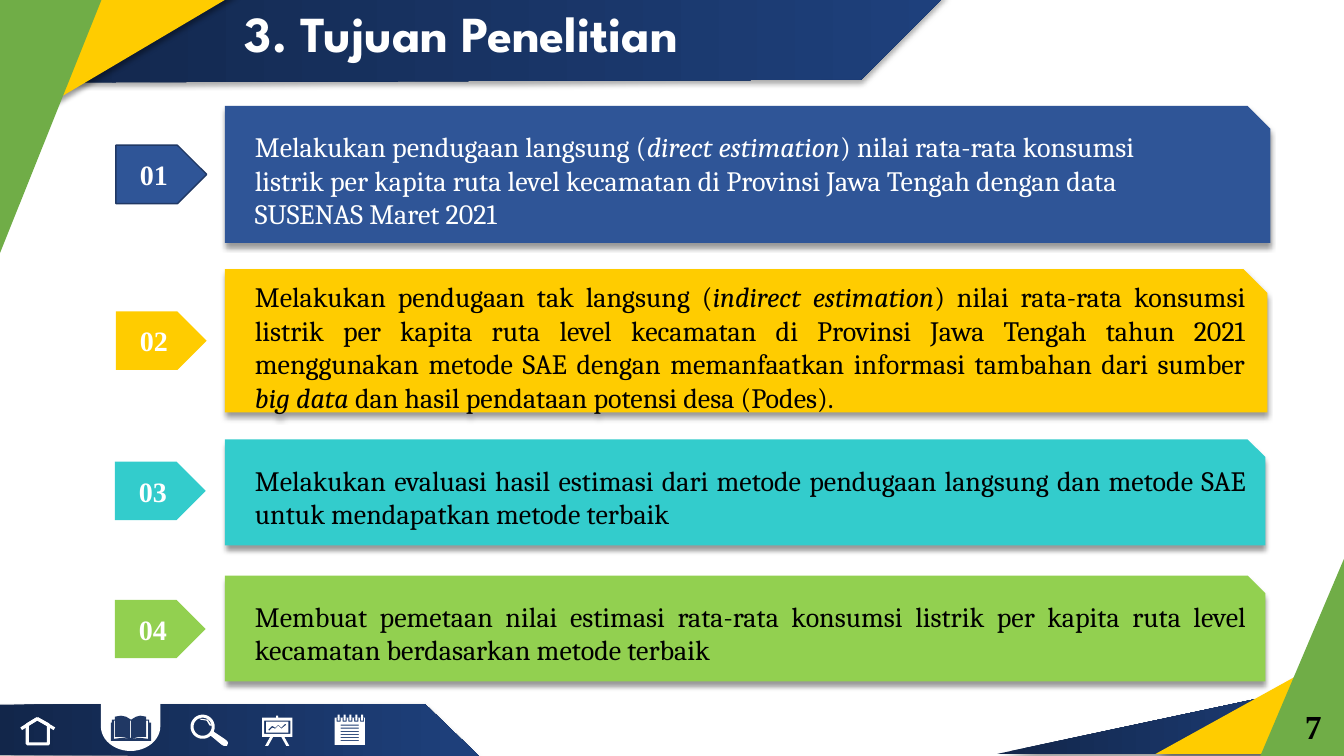
from math import cos, radians, sin

from lxml import etree
from pptx import Presentation
from pptx.dml.color import RGBColor
from pptx.enum.shapes import MSO_CONNECTOR, MSO_SHAPE
from pptx.enum.text import MSO_ANCHOR, MSO_AUTO_SIZE, PP_ALIGN
from pptx.oxml import parse_xml
from pptx.oxml.ns import nsdecls, qn
from pptx.util import Inches, Pt

COLORS = {
    "white": "FFFFFF", "black": "000000", "navy_dark": "12264A", "navy_light": "1E407C",
    "navy": "203864", "blue": "2F5597", "yellow": "FFCC00", "teal": "33CCCC",
    "lime": "92D050", "green": "70AD47",
}
BODY_FONT, NUMBER_FONT, TITLE_FONT = "Cambria", "Times New Roman", "League Spartan"
TITLE = "3. Tujuan Penelitian"
PAGE_NUMBER = "7"

# Each goal: box (top, width, height), tag (left, top), colours, paragraphs of (text, italic).
GOALS = [
    ((1.05, 10.37, 1.36), (1.15, 1.44), "blue", "white", [
        [("Melakukan pendugaan langsung (", False), ("direct estimation", True),
         (") nilai rata-rata konsumsi ", False)],
        [("listrik per kapita ruta level kecamatan di Provinsi Jawa Tengah dengan data ", False)],
        [("SUSENAS Maret 2021", False)]]),
    ((2.67, 10.34, 1.42), (1.15, 3.09), "yellow", "black", [
        [("Melakukan pendugaan tak langsung (", False), ("indirect estimation", True),
         (") nilai rata-rata konsumsi listrik per kapita ruta level kecamatan di Provinsi Jawa "
          "Tengah tahun 2021 menggunakan metode SAE dengan memanfaatkan informasi tambahan dari "
          "sumber ", False),
         ("big data", True), (" dan hasil pendataan potensi desa (Podes).", False)]]),
    ((4.36, 10.32, 1.05), (1.14, 4.58), "teal", "black", [
        [("Melakukan evaluasi hasil estimasi dari metode pendugaan langsung dan metode SAE "
          "untuk mendapatkan metode terbaik", False)]]),
    ((5.71, 10.32, 1.05), (1.14, 5.95), "lime", "black", [
        [("Membuat pemetaan nilai estimasi rata-rata konsumsi listrik per kapita ruta level "
          "kecamatan berdasarkan metode terbaik", False)]]),
]

CORNER_SHADOW = (40, 4, 3, 45)
BAR_SHADOW = (32, 3.5, 2.2, 90)
BOX_SHADOW = (40, 4, 3, 90)

RIGHT_CORNER = [
    ([(13.33, 7.48), (13.33, 6.75), (9.89, 7.48)], "navy", CORNER_SHADOW),
    ([(13.34, 7.48), (13.34, 6.44), (11.46, 7.48)], "yellow", CORNER_SHADOW),
    ([(13.34, 7.5), (13.34, 5.52), (12.5, 7.5)], "green", None),
]
BANNER = [(8.54, 0.79), (-0.01, 0.82), (-0.02, -0.07), (9.39, -0.06)]
LEFT_CORNER = [
    ([(-0.02, -0.06), (-0.02, 1.33), (2.33, -0.06)], "yellow", CORNER_SHADOW),
    ([(-0.02, -0.06), (-0.02, 2.56), (1.03, -0.06)], "green", None),
]
FOOTER = [(4.21, 6.98), (-0.05, 6.99), (-0.04, 7.49), (4.75, 7.5)]


def rectangle(left, top, right, bottom):
    return [(left, top), (right, top), (right, bottom), (left, bottom)]


def arc(x, y, radius, start, end):
    return [(x + radius * cos(radians(a)), y + radius * sin(radians(a)))
            for a in range(start, end + 1, 12)]


BOOK = [
    [(1.1, 7.17), (1.11, 7.17), (1.11, 7.14), (1.14, 7.14), (1.14, 7.11), (1.2, 7.1),
     (1.25, 7.11), (1.3, 7.14), (1.35, 7.11), (1.39, 7.1), (1.45, 7.11), (1.45, 7.14),
     (1.48, 7.14), (1.48, 7.17), (1.5, 7.17), (1.5, 7.35), (1.1, 7.35)],
    [(1.13, 7.15), (1.14, 7.15), (1.14, 7.31), (1.21, 7.31), (1.29, 7.33), (1.21, 7.32),
     (1.13, 7.33)],
    [(1.45, 7.15), (1.47, 7.15), (1.47, 7.33), (1.39, 7.32), (1.3, 7.33), (1.38, 7.31),
     (1.45, 7.31)],
    rectangle(1.29, 7.15, 1.3, 7.32),
]
MAGNIFIER = [
    arc(2.01, 7.21, 0.12, 48, 384)
    + [(2.24, 7.34), (2.26, 7.36), (2.26, 7.38), (2.25, 7.4), (2.22, 7.4), (2.2, 7.39)],
    arc(2.01, 7.21, 0.09, 0, 348),
    [(1.98, 7.13), (2.06, 7.14), (2.1, 7.2), (2.08, 7.2), (2.05, 7.15), (1.99, 7.14)],
]
EASEL = [
    [(2.6, 7.12), (2.74, 7.12), (2.74, 7.1), (2.76, 7.1), (2.76, 7.12), (2.9, 7.12),
     (2.9, 7.31), (2.82, 7.31), (2.87, 7.4), (2.84, 7.4), (2.79, 7.31), (2.71, 7.31),
     (2.66, 7.4), (2.63, 7.4), (2.68, 7.31), (2.6, 7.31)],
    rectangle(2.62, 7.15, 2.88, 7.28),
    rectangle(2.64, 7.16, 2.86, 7.27),
    [(2.66, 7.24), (2.7, 7.2), (2.73, 7.22), (2.76, 7.19), (2.79, 7.22), (2.83, 7.18),
     (2.84, 7.19), (2.79, 7.23), (2.76, 7.2), (2.73, 7.23), (2.7, 7.22), (2.67, 7.25)],
]
RING_CENTRES = [3.36 + 0.058 * i for i in range(5)]
NOTEPAD = [rectangle(3.32, 7.12, 3.62, 7.39)]
NOTEPAD += [rectangle(3.38, 7.19 + 0.03 * i, 3.56, 7.2 + 0.03 * i) for i in range(6)]
NOTEPAD += [rectangle(x - 0.02, 7.12, x + 0.02, 7.16) for x in RING_CENTRES]
NOTEPAD += [rectangle(x - 0.01, 7.09, x + 0.01, 7.15) for x in RING_CENTRES]
ICONS = [(BOOK, "navy"), (MAGNIFIER, "white"), (EASEL, "white"), (NOTEPAD, "white")]
HOUSE = [(0.27, 7.19), (0.27, 7.38), (0.48, 7.38), (0.48, 7.19), (0.37, 7.13)]
ROOF_PEAK, ROOF_EAVES = (0.37, 7.13), [(0.21, 7.23), (0.54, 7.23)]


def color(name):
    return RGBColor.from_string(COLORS[name])


def paint(shape, fill, shadow=None):
    shape.shadow.inherit = False
    shape.line.fill.background()
    if fill:
        shape.fill.solid()
        shape.fill.fore_color.rgb = color(fill)
    else:
        shape.fill.background()
    if shadow:
        alpha, blur, distance, angle = shadow
        effects = shape._element.spPr.find(qn("a:effectLst"))
        effects.append(parse_xml(
            f'<a:outerShdw {nsdecls("a")} blurRad="{Pt(blur)}" dist="{Pt(distance)}" '
            f'dir="{angle * 60000}" algn="t" rotWithShape="0"><a:srgbClr val="000000">'
            f'<a:alpha val="{alpha * 1000}"/></a:srgbClr></a:outerShdw>'))


def paint_navy(shape, shadow):
    paint(shape, "navy", shadow)
    shape.fill.gradient()
    shape.fill.gradient_angle = 0
    for stop, name in zip(shape.fill.gradient_stops, ("navy_dark", "navy_light")):
        stop.color.rgb = color(name)


def add_outline(page, contours):
    points = [[(Inches(x), Inches(y)) for x, y in contour] for contour in contours]
    builder = page.shapes.build_freeform(*points[0][0], scale=1.0)
    for index, contour in enumerate(points):
        if index:
            builder.move_to(*contour[0])
        builder.add_line_segments(contour[1:], close=True)
    return builder.convert_to_shape()


def add_corner(page, parts):
    for points, fill, shadow in parts:
        shape = add_outline(page, [points])
        if fill == "navy":
            paint_navy(shape, shadow)
        else:
            paint(shape, fill, shadow)


def add_preset(page, kind, place, fill, shadow=None):
    shape = page.shapes.add_shape(kind, *map(Inches, place))
    paint(shape, fill, shadow)
    return shape


def write(frame, text, font, size, ink, align):
    frame.word_wrap = True
    frame.vertical_anchor = MSO_ANCHOR.MIDDLE
    para = frame.paragraphs[0]
    para.text = text
    para.alignment = align
    style(para.font, font, size, ink, True)
    return para


def style(font, name, size, ink, bold=False):
    font.name, font.size, font.bold = name, Pt(size), bold
    font.color.rgb = color(ink)


def add_goal(page, number, box_place, tag_place, fill, ink, paragraphs):
    top, width, height = box_place
    box = add_preset(page, MSO_SHAPE.SNIP_1_RECTANGLE, (2.23, top, width, height), fill, BOX_SHADOW)
    frame = box.text_frame
    frame.word_wrap = True
    frame.vertical_anchor = MSO_ANCHOR.MIDDLE
    for index, spans in enumerate(paragraphs):
        para = frame.add_paragraph() if index else frame.paragraphs[0]
        para.alignment = PP_ALIGN.JUSTIFY
        para._p.get_or_add_pPr().set("marL", str(Inches(0.2)))
        style(para.font, BODY_FONT, 20, ink)
        for text, italic in spans:
            span = para.add_run()
            span.text = text
            style(span.font, BODY_FONT, 20, ink)
            span.font.italic = italic
    tag = add_preset(page, MSO_SHAPE.PENTAGON, (*tag_place, 0.9, 0.58), fill)
    if number == 1:
        tag.line.color.rgb = color("navy")
        tag.line.width = Pt(1)
    write(tag.text_frame, f"{number:02}", NUMBER_FONT, 20, "white", PP_ALIGN.CENTER)


def add_house(page):
    for eave in ROOF_EAVES:
        roof = page.shapes.add_connector(MSO_CONNECTOR.STRAIGHT, *map(Inches, eave + ROOF_PEAK))
        etree.SubElement(roof._element.spPr, qn("a:effectLst"))
        roof.line.color.rgb = color("white")
        roof.line.width = Pt(2.25)
    walls = add_outline(page, [HOUSE])
    paint(walls, None)
    walls.line.color.rgb = color("white")
    walls.line.width = Pt(2.25)


def main():
    deck = Presentation()
    deck.slide_width, deck.slide_height = Inches(13.33), Inches(7.5)
    page = deck.slides.add_slide(deck.slide_layouts[5])
    add_corner(page, RIGHT_CORNER)
    paint_navy(add_outline(page, [BANNER]), BAR_SHADOW)

    title = page.shapes.title
    title.left, title.top, title.width, title.height = map(Inches, (2.33, -0.09, 6.42, 0.89))
    page.shapes._spTree.append(title._element)
    heading = write(title.text_frame, TITLE, TITLE_FONT, 36, "white", PP_ALIGN.LEFT)
    heading.line_spacing = 0.9
    title.text_frame.auto_size = MSO_AUTO_SIZE.NONE
    number_box = page.shapes.add_textbox(*map(Inches, (12.5, 6.95, 1.05, 0.5)))
    write(number_box.text_frame, PAGE_NUMBER, NUMBER_FONT, 24, "black", PP_ALIGN.CENTER)

    add_corner(page, LEFT_CORNER)
    paint_navy(add_outline(page, [FOOTER]), BAR_SHADOW)
    tab = add_preset(page, MSO_SHAPE.FLOWCHART_DELAY, (1.05, 6.91, 0.49, 0.59), "white")
    tab.rotation = 90
    for contours, fill in ICONS:
        paint(add_outline(page, contours), fill)
    add_house(page)
    for number, goal in enumerate(GOALS, 1):
        add_goal(page, number, *goal)
    deck.save("out.pptx")


if __name__ == "__main__":
    main()
